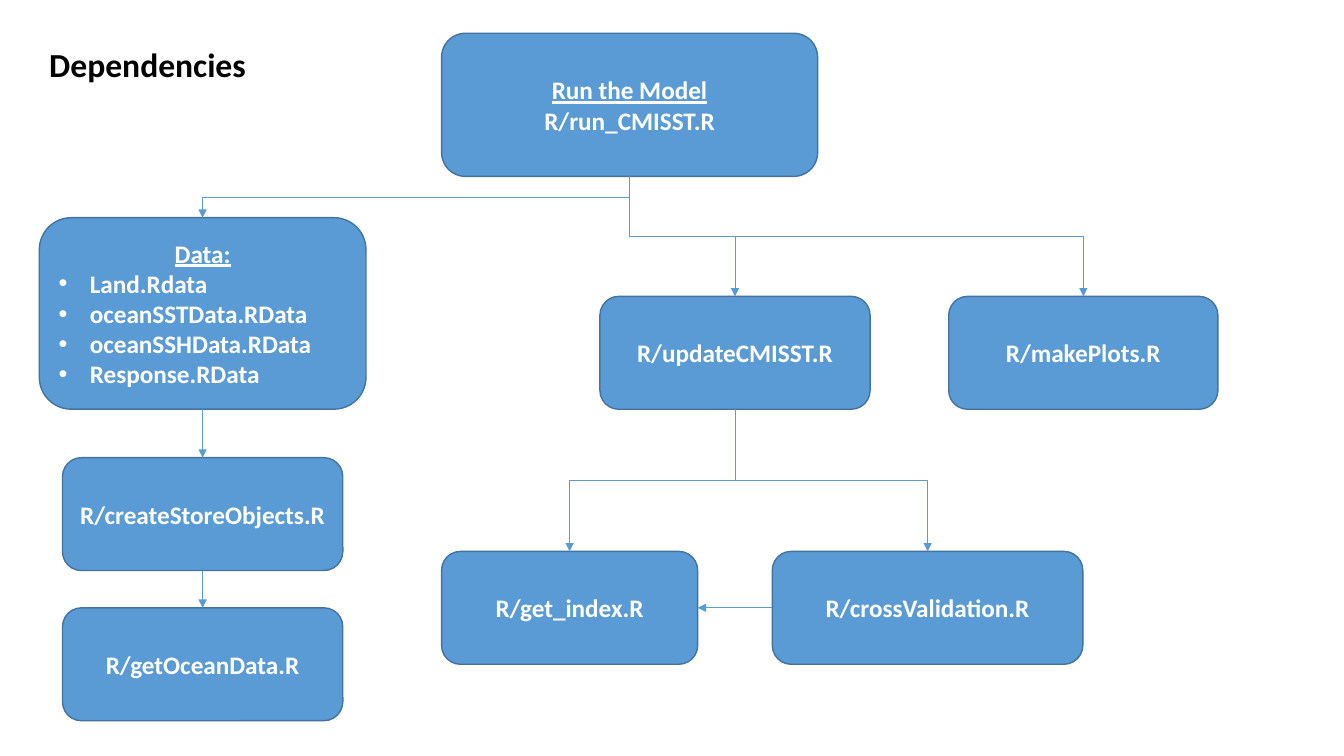
import dataclasses

import lxml.etree
import pptx
import pptx.dml.color
import pptx.dml.line
import pptx.enum.shapes
import pptx.enum.text
import pptx.oxml.ns
import pptx.shapes.autoshape
import pptx.shapes.connector
import pptx.slide
import pptx.text.text
import pptx.util

EMU_PER_PX = 9144  # 100 px to the inch
FONT = "Calibri"
BLUE, OUTLINE, WHITE, BLACK = "5B9BD5", "43739E", "FFFFFF", "000000"
TOP, LEFT, BOTTOM, RIGHT = range(4)  # connection sites of a rounded rectangle
ALIGN = pptx.enum.text.PP_ALIGN


@dataclasses.dataclass(frozen=True)
class Box:
    name: str
    left: int
    top: int
    width: int
    height: int
    lines: tuple[str, ...]
    has_heading: bool = False
    bulleted: bool = False

    @property
    def center_x(self) -> int:
        return self.left + self.width // 2

    @property
    def bottom(self) -> int:
        return self.top + self.height


@dataclasses.dataclass(frozen=True)
class Arrow:
    start: str
    end: str
    start_site: int = BOTTOM
    end_site: int = TOP
    bent: bool = False


RUN = Box("run", 438, 33, 373, 142, ("Run the Model", "R/run_CMISST.R"), has_heading=True)
DATA = Box("data", 39, 216, 324, 190,
           ("Data:", "Land.Rdata", "oceanSSTData.RData", "oceanSSHData.RData", "Response.RData"),
           has_heading=True, bulleted=True)
BOXES = (
    RUN,
    Box("update", 595, 294, 268, 112, ("R/updateCMISST.R",)),
    Box("plots", 941, 294, 267, 112, ("R/makePlots.R",)),
    Box("index", 438, 547, 254, 112, ("R/get_index.R",)),
    Box("validation", 766, 547, 308, 112, ("R/crossValidation.R",)),
    DATA,
    Box("store", 62, 454, 278, 112, ("R/createStoreObjects.R",)),
    Box("ocean", 62, 603, 278, 112, ("R/getOceanData.R",)),
)

ARROWS = (
    Arrow("run", "update", bent=True),
    Arrow("run", "plots", bent=True),
    Arrow("update", "index", bent=True),
    Arrow("update", "validation", bent=True),
    Arrow("data", "store"),
    Arrow("store", "ocean"),
    Arrow("validation", "index", LEFT, RIGHT),
)


def px(length: int) -> pptx.util.Emu:
    return pptx.util.Emu(length * EMU_PER_PX)


def color(value: str) -> pptx.dml.color.RGBColor:
    return pptx.dml.color.RGBColor.from_string(value)


def add_element(parent: lxml.etree._Element, tag: str, **attributes: str) -> None:
    lxml.etree.SubElement(parent, pptx.oxml.ns.qn(tag), attributes)


def style_runs(para: pptx.text.text._Paragraph, size: int, hex_color: str, underline: bool = False) -> None:
    for span in para.runs:
        span.font.name = FONT
        span.font.size = pptx.util.Pt(size)
        span.font.bold = True
        span.font.underline = underline
        span.font.color.rgb = color(hex_color)


def add_bullet(para: pptx.text.text._Paragraph) -> None:
    properties = para._p.get_or_add_pPr()
    properties.set("marL", str(px(31)))
    properties.set("indent", str(px(-31)))
    add_element(properties, "a:buFont", typeface="Arial")
    add_element(properties, "a:buChar", char="•")


def draw_box(page: pptx.slide.Slide, box: Box) -> pptx.shapes.autoshape.Shape:
    shape = page.shapes.add_shape(
        pptx.enum.shapes.MSO_SHAPE.ROUNDED_RECTANGLE,
        px(box.left), px(box.top), px(box.width), px(box.height))
    shape.shadow.inherit = False
    shape.fill.solid()
    shape.fill.fore_color.rgb = color(BLUE)
    shape.line.color.rgb = color(OUTLINE)
    shape.line.width = pptx.util.Pt(1)
    frame = shape.text_frame
    frame.text = "\n".join(box.lines)
    frame.word_wrap = True
    frame.vertical_anchor = pptx.enum.text.MSO_ANCHOR.MIDDLE
    for number, para in enumerate(frame.paragraphs):
        is_heading = box.has_heading and number == 0
        is_item = box.bulleted and not is_heading
        para.alignment = ALIGN.LEFT if is_item else ALIGN.CENTER
        if is_item:
            add_bullet(para)
        style_runs(para, 18, WHITE, underline=is_heading)
    return shape


def style_arrow(line: pptx.dml.line.LineFormat) -> None:
    line.color.rgb = color(BLUE)
    line.width = pptx.util.Pt(0.5)
    add_element(line._get_or_add_ln(), "a:tailEnd", type="triangle")


def bend_downward(connector: pptx.shapes.connector.Connector) -> None:
    """Turn an elbow by a quarter so that it leaves and arrives vertically."""
    goes_right = connector.end_x > connector.begin_x
    across, down = connector.width, connector.height
    center_x = connector.left + across // 2
    center_y = connector.top + down // 2
    connector.left, connector.top = center_x - down // 2, center_y - across // 2
    connector.width, connector.height = down, across
    connector.rotation = 270 if goes_right else 90
    connector._element.xfrm.flipH = goes_right


def draw_arrow(page: pptx.slide.Slide, arrow: Arrow, shapes: dict[str, pptx.shapes.autoshape.Shape]) -> None:
    kinds = pptx.enum.shapes.MSO_CONNECTOR
    connector = page.shapes.add_connector(kinds.ELBOW if arrow.bent else kinds.STRAIGHT, 0, 0, 0, 0)
    connector.begin_connect(shapes[arrow.start], arrow.start_site)
    connector.end_connect(shapes[arrow.end], arrow.end_site)
    if arrow.bent:
        bend_downward(connector)
    style_arrow(connector.line)
    add_element(connector._element.spPr, "a:effectLst")


def draw_stepped_arrow(page: pptx.slide.Slide, start: Box, end: Box) -> None:
    """Draw the bend as an outline, since a turned elbow's frame would leave the page."""
    middle = (start.bottom + end.top) // 2 + 1
    builder = page.shapes.build_freeform(start.center_x, start.bottom, scale=EMU_PER_PX)
    builder.add_line_segments(
        [(start.center_x, middle), (end.center_x, middle), (end.center_x, end.top)], close=False)
    outline = builder.convert_to_shape()
    outline.fill.background()
    outline.shadow.inherit = False
    style_arrow(outline.line)


def draw_title(page: pptx.slide.Slide) -> None:
    title = page.shapes.add_textbox(px(39), px(39), px(217), px(50))
    title.text_frame.text = "Dependencies"
    title.text_frame.word_wrap = False
    style_runs(title.text_frame.paragraphs[0], 24, BLACK)


def main() -> None:
    deck = pptx.Presentation()
    deck.slide_width, deck.slide_height = px(1333), px(750)
    page = deck.slides.add_slide(deck.slide_layouts[6])
    draw_title(page)
    shapes = {box.name: draw_box(page, box) for box in BOXES}
    for arrow in ARROWS:
        draw_arrow(page, arrow, shapes)
    draw_stepped_arrow(page, RUN, DATA)
    deck.save("out.pptx")


if __name__ == "__main__":
    main()
